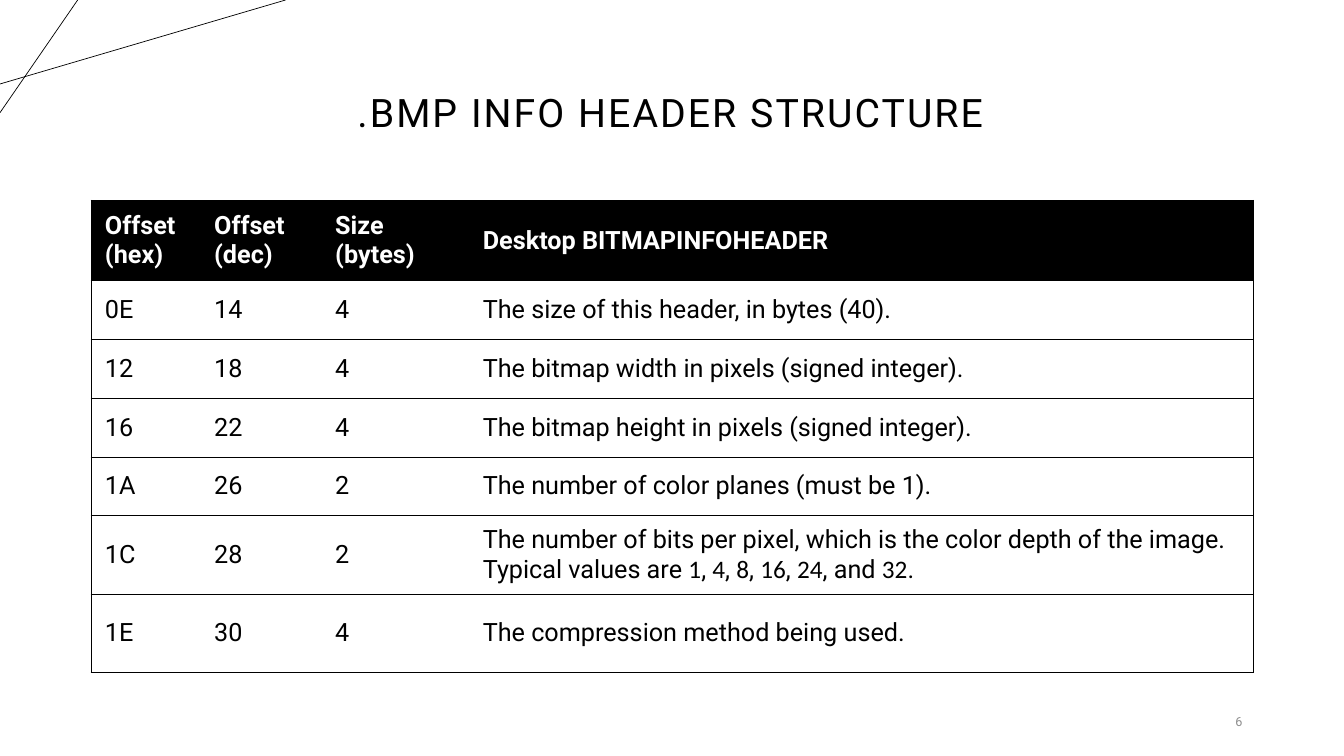
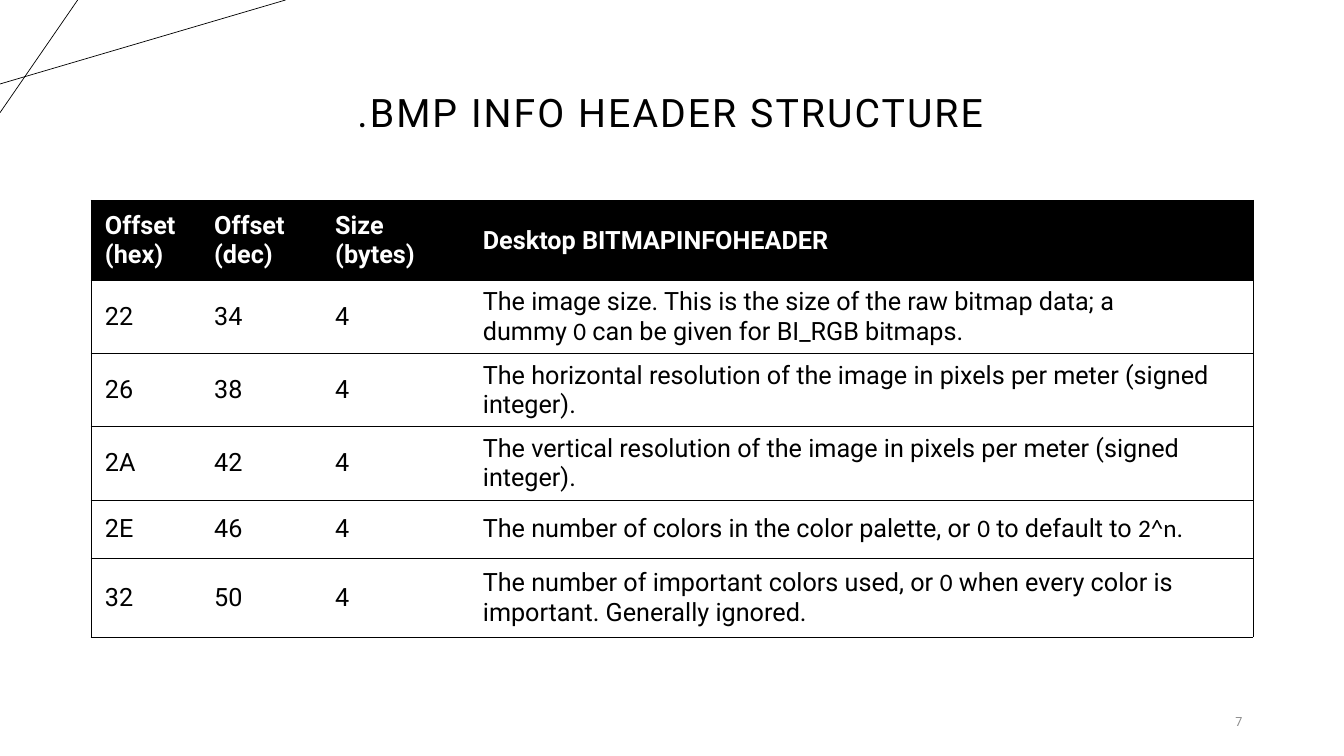
from dataclasses import dataclass

import pptx
import pptx.dml.color
import pptx.enum.shapes
import pptx.enum.text
import pptx.oxml
import pptx.oxml.ns
import pptx.util
from lxml import etree

Pt = pptx.util.Pt
Anchor = pptx.enum.text.MSO_ANCHOR
Align = pptx.enum.text.PP_ALIGN
qn = pptx.oxml.ns.qn


@dataclass(frozen=True)
class Theme:
    """Colours, fonts and sizes shared by all slides."""
    ink: str = "000000"
    paper: str = "FFFFFF"
    grey: str = "8C8C8C"
    face: str = "Roboto"
    code: str = "Calibri"
    title: float = 28
    body: float = 18
    small: float = 9
    rule: float = 0.5


class Deck:
    """Holds the theme and the current slide."""

    def __init__(self, theme):
        self.theme = theme
        self.file = pptx.Presentation()
        self.file.slide_width, self.file.slide_height = Pt(960), Pt(540)
        self.slide = None

    def color(self, value):
        return pptx.dml.color.RGBColor.from_string(value)

    def style(self, para, size, color, bold=False):
        font = para.font
        font.name, font.size, font.bold = self.theme.face, Pt(size), bold
        font.color.rgb = self.color(color)

    # Page with corner lines, title and number
    def page(self, title, number):
        self.slide = self.file.slides.add_slide(self.file.slide_layouts[5])
        self.line(0, 60, 204, 0)
        self.line(55.5, 0, 0, 80.5)
        self.title(title)
        self.number(number)

    def line(self, x1, y1, x2, y2):
        line = self.slide.shapes.add_connector(
            pptx.enum.shapes.MSO_CONNECTOR.STRAIGHT, Pt(x1), Pt(y1), Pt(x2), Pt(y2))
        line.line.color.rgb = self.color(self.theme.ink)
        line.line.width = Pt(self.theme.rule)
        etree.SubElement(line.element.spPr, qn("a:effectLst"))

    def title(self, text):
        box = self.slide.shapes.title
        box.left, box.top, box.width, box.height = Pt(65), Pt(60), Pt(828), Pt(41)
        frame = box.text_frame
        frame.text = text
        frame.auto_size = pptx.enum.text.MSO_AUTO_SIZE.NONE
        frame.vertical_anchor = Anchor.BOTTOM
        para = frame.paragraphs[0]
        para.alignment, para.line_spacing = Align.CENTER, 0.9
        self.style(para, self.theme.title, self.theme.ink)
        para.runs[0]._r.get_or_add_rPr().set("spc", "150")

    def number(self, value):
        box = self.slide.shapes.add_textbox(Pt(816.5), Pt(500.5), Pt(78), Pt(29))
        frame = box.text_frame
        frame.word_wrap, frame.vertical_anchor = True, Anchor.MIDDLE
        frame.text = str(value)
        para = frame.paragraphs[0]
        para.alignment = Align.RIGHT
        self.style(para, self.theme.small, self.theme.grey)

    # Ruled table with a dark head row
    def table(self, rows, widths, heights):
        shape = self.slide.shapes.add_table(
            len(rows), len(widths), Pt(65), Pt(143), Pt(sum(widths)), Pt(sum(heights)))
        table = shape.table
        table.horz_banding = False
        for col, width in zip(table.columns, widths):
            col.width = Pt(width)
        for row, height in zip(table.rows, heights):
            row.height = Pt(height)
        last = len(widths) - 1
        for r, row in enumerate(rows):
            for c, text in enumerate(row):
                sides = "TB" + "L" * (c == 0) + "R" * (c == last)
                self.cell(table.cell(r, c), text, sides, head=r == 0)

    def cell(self, cell, text, sides, head):
        theme = self.theme
        cell.vertical_anchor = Anchor.MIDDLE
        cell.margin_left = cell.margin_right = Pt(10)
        cell.margin_top = cell.margin_bottom = Pt(4.5)
        self.border(cell, sides)
        if head:
            cell.fill.solid()
            cell.fill.fore_color.rgb = self.color(theme.ink)
        else:
            cell.fill.background()
        para = cell.text_frame.paragraphs[0]
        self.style(para, theme.body, theme.paper if head else theme.ink, head)
        # Backticks mark values, which hold to their neighbours when wrapping
        hard = chr(160)
        text = text.replace(" `", hard + "`").replace("` ", "`" + hard)
        for i, part in enumerate(text.split("`")):
            run = para.add_run()
            run.text = part
            if i % 2:
                run.font.name = theme.code

    def border(self, cell, sides):
        props = cell._tc.get_or_add_tcPr()
        for side in "LRTB":
            line = etree.SubElement(props, qn("a:ln" + side))
            if side in sides:
                line.set("w", str(Pt(self.theme.rule)))
                fill = etree.SubElement(line, qn("a:solidFill"))
                etree.SubElement(fill, qn("a:srgbClr")).set("val", self.theme.ink)
            else:
                etree.SubElement(line, qn("a:noFill"))


TITLE = ".BMP INFO HEADER STRUCTURE"
HEAD = ("Offset (hex)", "Offset (dec)", "Size (bytes)", "Desktop BITMAPINFOHEADER")
WIDTHS = (78, 86.5, 105.5, 560)
TOP, LOW, TALL = 57.5, 42, 56  # row heights

# Each page: number, rows, heights of the rows
PAGES = (
    (6, (
        ("0E", "14", "4", "The size of this header, in bytes (40)."),
        ("12", "18", "4", "The bitmap width in pixels (signed integer)."),
        ("16", "22", "4", "The bitmap height in pixels (signed integer)."),
        ("1A", "26", "2", "The number of color planes (must be 1)."),
        ("1C", "28", "2", "The number of bits per pixel, which is the color depth of the "
         "image. Typical values are `1`, `4`, `8`, `16`, `24`, and `32`."),
        ("1E", "30", "4", "The compression method being used."),
    ), (LOW,) * 4 + (TALL,) * 2),
    (7, (
        ("22", "34", "4", "The image size. This is the size of the raw bitmap data; a "
         "dummy `0` can be given for BI_RGB bitmaps."),
        ("26", "38", "4", "The horizontal resolution of the image in pixels per meter "
         "(signed integer)."),
        ("2A", "42", "4", "The vertical resolution of the image in pixels per meter "
         "(signed integer)."),
        ("2E", "46", "4", "The number of colors in the color palette, or `0` to default "
         "to `2^n`."),
        ("32", "50", "4", "The number of important colors used, or `0` when every color "
         "is important. Generally ignored."),
    ), (LOW,) * 4 + (TALL,)),
)


def main():
    deck = Deck(Theme())
    for number, rows, heights in PAGES:
        deck.page(TITLE, number)
        deck.table((HEAD,) + rows, WIDTHS, (TOP,) + heights)
    deck.file.save("out.pptx")


if __name__ == "__main__":
    main()
